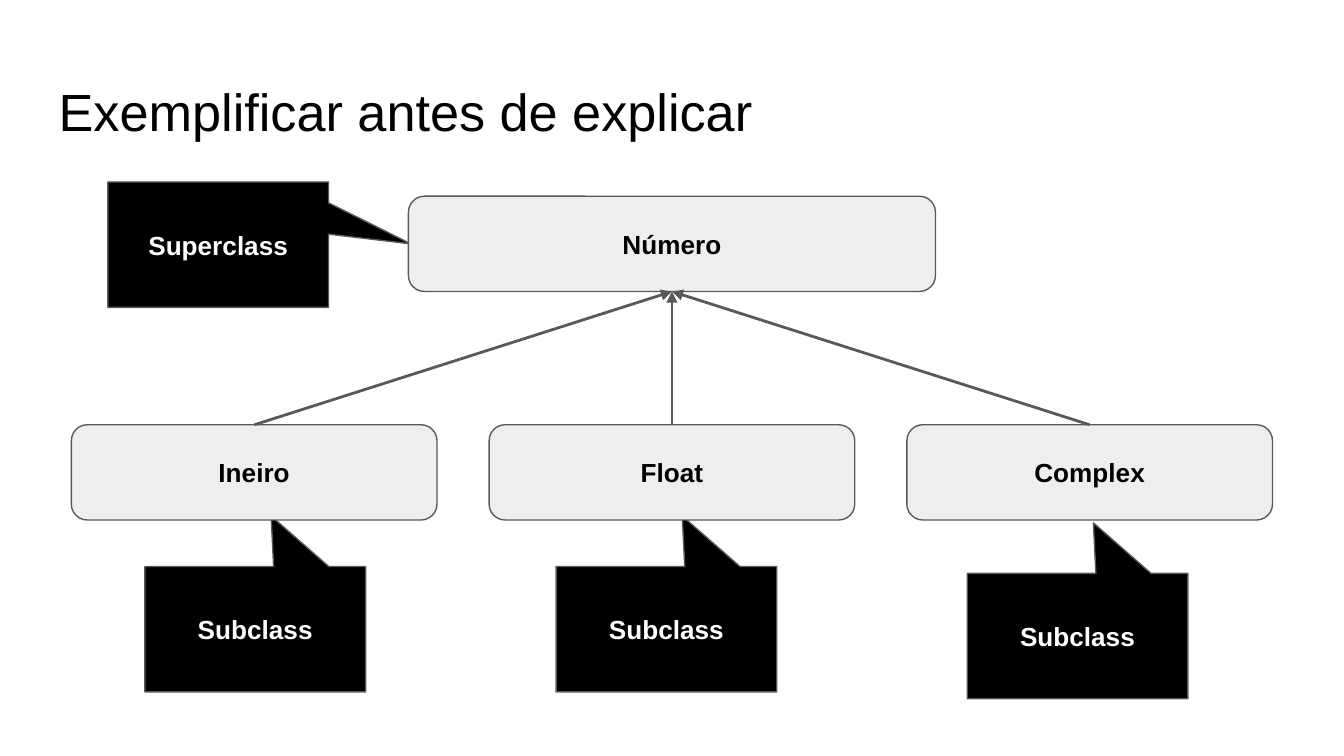
import pptx
import pptx.util
import pptx.dml.color
import pptx.enum.shapes
import pptx.enum.text
import pptx.oxml
import pptx.oxml.ns
from lxml import etree

Cm, Pt = pptx.util.Cm, pptx.util.Pt
SHAPES = pptx.enum.shapes.MSO_SHAPE
COLORS = {"ink": "000000", "paper": "FFFFFF", "box": "EEEEEE", "outline": "595959"}
CLASS_HEIGHT = 1.8
TOP, BOTTOM = 0, 2  # connection sites of a rounded rectangle


def color(name):
    return pptx.dml.color.RGBColor.from_string(COLORS[name])


def style_text(frame, text, size, ink, bold, align, anchor):
    frame.text = text
    frame.word_wrap = True
    frame.auto_size = pptx.enum.text.MSO_AUTO_SIZE.NONE
    frame.vertical_anchor = anchor
    frame.margin_left = frame.margin_right = Cm(0.25)
    frame.margin_top = frame.margin_bottom = Cm(0.25)
    paragraph = frame.paragraphs[0]
    paragraph.alignment = align
    paragraph.font.name = "Arial"
    paragraph.font.size = Pt(size)
    paragraph.font.bold = bold
    paragraph.font.color.rgb = color(ink)


def add_label(slide, kind, box, text, fill, ink, adjustments):
    label = slide.shapes.add_shape(kind, *map(Cm, box))
    label.shadow.inherit = False
    label.fill.solid()
    label.fill.fore_color.rgb = color(fill)
    label.line.color.rgb = color("outline")
    label.line.width = Pt(0.75)
    for index, value in enumerate(adjustments):
        label.adjustments[index] = value
    style_text(label.text_frame, text, 14, ink, True,
               pptx.enum.text.PP_ALIGN.CENTER, pptx.enum.text.MSO_ANCHOR.MIDDLE)
    return label


def add_class(slide, box, name):
    return add_label(slide, SHAPES.ROUNDED_RECTANGLE, box, name, "box", "ink", [0.167])


def add_inheritance(slide, superclass, subclass):
    arrow = slide.shapes.add_connector(pptx.enum.shapes.MSO_CONNECTOR.STRAIGHT, 0, 0, 0, 0)
    arrow.begin_connect(superclass, BOTTOM)
    arrow.end_connect(subclass, TOP)
    arrow.line.color.rgb = color("outline")
    arrow.line.width = Pt(1.5)
    qn = pptx.oxml.ns.qn
    etree.SubElement(arrow.line._get_or_add_ln(), qn("a:headEnd"), type="triangle")
    etree.SubElement(arrow._element.spPr, qn("a:effectLst"))


def place_title(slide, box, text):
    title = slide.shapes.title
    title.left, title.top, title.width, title.height = map(Cm, box)
    style_text(title.text_frame, text, 28, "ink", False,
               pptx.enum.text.PP_ALIGN.LEFT, pptx.enum.text.MSO_ANCHOR.TOP)


def place_callout(slide, box, text, pointer):
    add_label(slide, SHAPES.RECTANGULAR_CALLOUT, box, text, "ink", "paper", pointer)


def place_hierarchy(slide, box, parent, children):
    left, top, width, height = box
    # Superclass, centred above its subclasses
    parent_width = 9.96
    superclass = add_class(
        slide, (left + (width - parent_width) / 2, top, parent_width, CLASS_HEIGHT), parent)

    # Subclasses, evenly spread along the bottom
    child_width = 6.91
    step = (width - child_width) / (len(children) - 1)
    child_top = top + height - CLASS_HEIGHT
    subclasses = [
        add_class(slide, (left + i * step, child_top, child_width, CLASS_HEIGHT), name)
        for i, name in enumerate(children)]

    # Inheritance arrows
    for subclass in subclasses:
        add_inheritance(slide, superclass, subclass)


def main():
    deck = pptx.Presentation()
    deck.slide_width, deck.slide_height = Cm(25.4), Cm(14.29)
    slide = deck.slides.add_slide(deck.slide_layouts.get_by_name("Title Only"))

    place_title(slide, (0.86, 1.24, 23.67, 1.6), "Exemplificar antes de explicar")

    # Callouts lie behind the class boxes
    callout_size = (4.17, 2.37)
    place_callout(slide, (2.04, 3.44, *callout_size), "Superclass", (0.873, -0.006))
    for i, callout_top in enumerate((10.71, 10.71, 10.84)):
        place_callout(slide, (2.74 + i * 7.77, callout_top, *callout_size),
                      "Subclass", (0.072, -0.903))

    place_hierarchy(slide, (1.35, 3.71, 22.7, 6.12),
                    "Número", ("Ineiro", "Float", "Complex"))
    deck.save("out.pptx")


if __name__ == "__main__":
    main()
